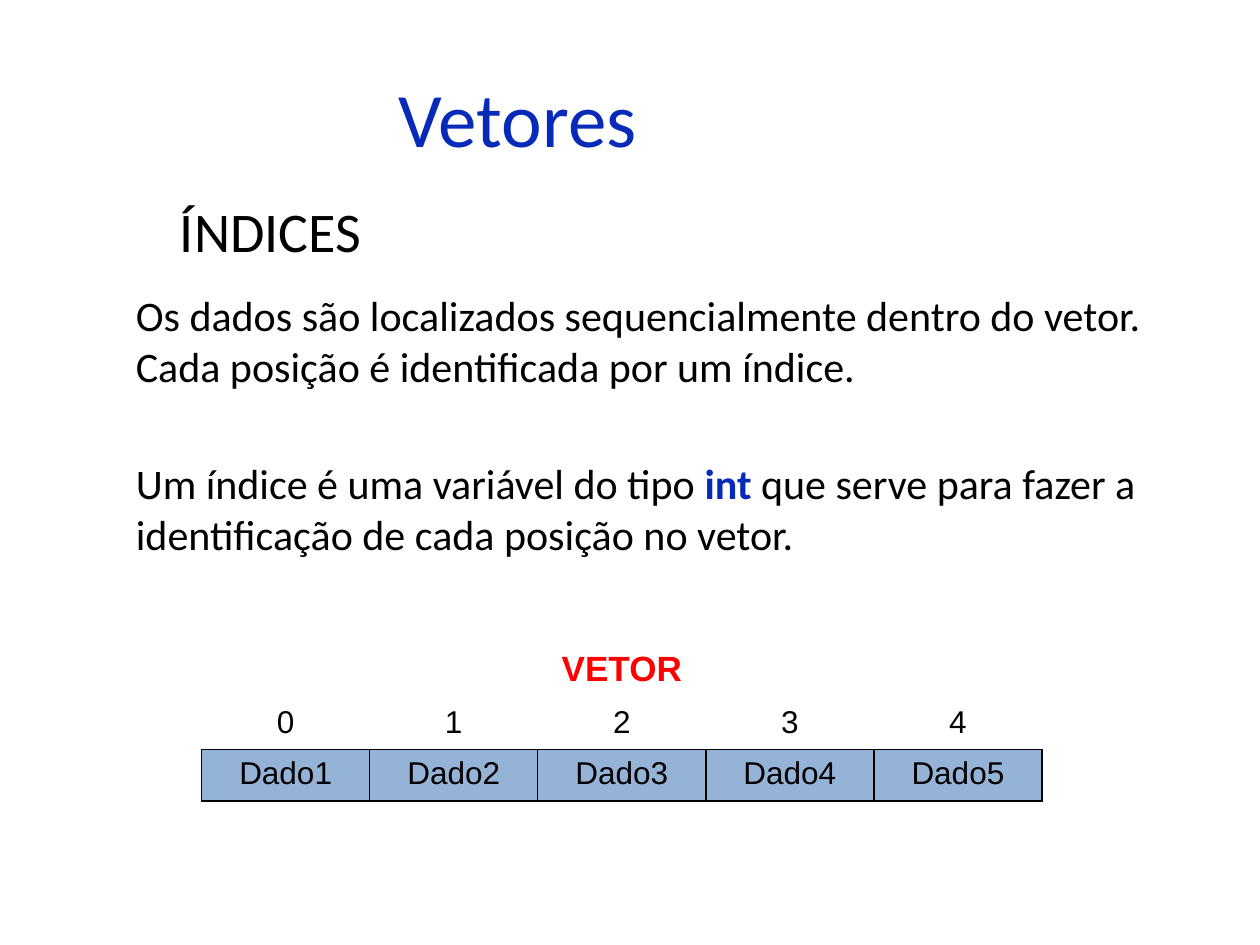
from lxml.etree import SubElement
from pptx import Presentation
from pptx.dml.color import RGBColor
from pptx.enum.text import MSO_ANCHOR, PP_ALIGN
from pptx.oxml.ns import qn
from pptx.util import Inches, Pt

BLACK = RGBColor(0x00, 0x00, 0x00)
BLUE = RGBColor(0x08, 0x2A, 0xB8)
RED = RGBColor(0xFF, 0x00, 0x00)
CELL_BLUE = RGBColor(0x95, 0xB3, 0xD7)

COLUMNS, ROWS = 100, 75


class SlideBuilder:
    text_font = "Calibri"
    table_font = "Arial"

    def __init__(self, prs):
        self.s = prs.slides.add_slide(prs.slide_layouts[5])
        self.column = prs.slide_width / COLUMNS
        self.row = prs.slide_height / ROWS

    def frame(self, x, y, w, h):
        return (round(x * self.column), round(y * self.row),
                round(w * self.column), round(h * self.row))

    def run(self, p, text, size, color=BLACK, bold=False, font=text_font):
        r = p.add_run()
        r.text = text
        r.font.name = font
        r.font.size = Pt(size)
        r.font.bold = bold
        r.font.color.rgb = color

    def title(self, text, *place):
        sp = self.s.shapes.title
        sp.left, sp.top, sp.width, sp.height = self.frame(*place)
        tf = sp.text_frame
        tf.margin_left = Inches(0.24)
        tf.vertical_anchor = MSO_ANCHOR.MIDDLE
        p = tf.paragraphs[0]
        p.alignment = PP_ALIGN.CENTER
        self.run(p, text, 44, BLUE)

    def text(self, paragraphs, size, *place, gap=0):
        tf = self.s.shapes.add_textbox(*self.frame(*place)).text_frame
        tf.word_wrap = True
        for i, runs in enumerate(paragraphs):
            p = tf.add_paragraph() if i else tf.paragraphs[0]
            if i:
                p.space_before = Pt(gap)
            for text, color, bold in runs:
                self.run(p, text, size, color, bold)

    def border(self, cell, sides):
        tcPr = cell._tc.get_or_add_tcPr()
        for side in sides:
            ln = SubElement(tcPr, qn(f"a:ln{side}"), w=str(Pt(1)))
            fill = SubElement(ln, qn("a:solidFill"))
            SubElement(fill, qn("a:srgbClr"), val=str(BLACK))

    def cell(self, cell, text, size, color=BLACK, bold=False, sides="", fill=None):
        self.border(cell, sides)
        if fill is None:
            cell.fill.background()
        else:
            cell.fill.solid()
            cell.fill.fore_color.rgb = fill
        p = cell.text_frame.paragraphs[0]
        p.alignment = PP_ALIGN.CENTER
        self.run(p, text, size, color, bold, self.table_font)

    def vector(self, heading, values, *place):
        table = self.s.shapes.add_table(3, len(values), *self.frame(*place)).table
        table.first_row = table.horz_banding = False
        table.cell(0, 0).merge(table.cell(0, len(values) - 1))
        self.cell(table.cell(0, 0), heading, 20, RED, True)
        for i, value in enumerate(values):
            self.cell(table.cell(1, i), str(i), 18, sides="B")
            self.cell(table.cell(2, i), value, 18, sides="LRTB", fill=CELL_BLUE)


def main():
    prs = Presentation()
    prs.slide_width, prs.slide_height = Inches(10), Inches(7.5)
    slide = SlideBuilder(prs)
    slide.title("Vetores", 5, 3, 70.8, 12.5)
    slide.text([[("ÍNDICES", BLACK, False)]], 32, 13.3, 15.1, 81.8, 7)
    slide.text([
        [("Os dados são localizados sequencialmente dentro do vetor. "
          "Cada posição é identificada por um índice.", BLACK, False)],
        [("Um índice é uma variável do tipo ", BLACK, False),
         ("int ", BLUE, True),
         ("que serve para fazer a identificação de cada posição no vetor.",
          BLACK, False)],
    ], 24, 9.8, 22.5, 83.3, 46.8, gap=38.5)
    slide.vector("VETOR", [f"Dado{n}" for n in range(1, 6)], 16, 51.1, 66.7, 12.2)
    prs.save("out.pptx")


if __name__ == "__main__":
    main()
